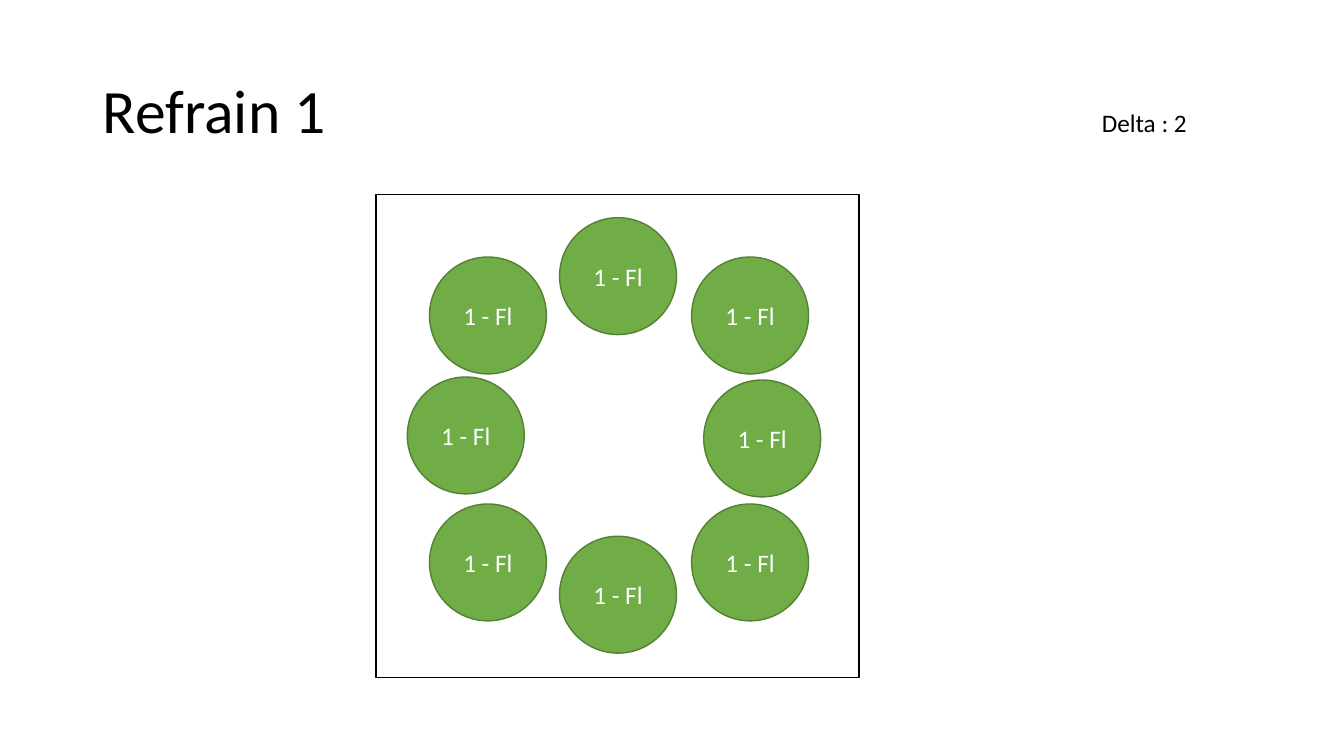
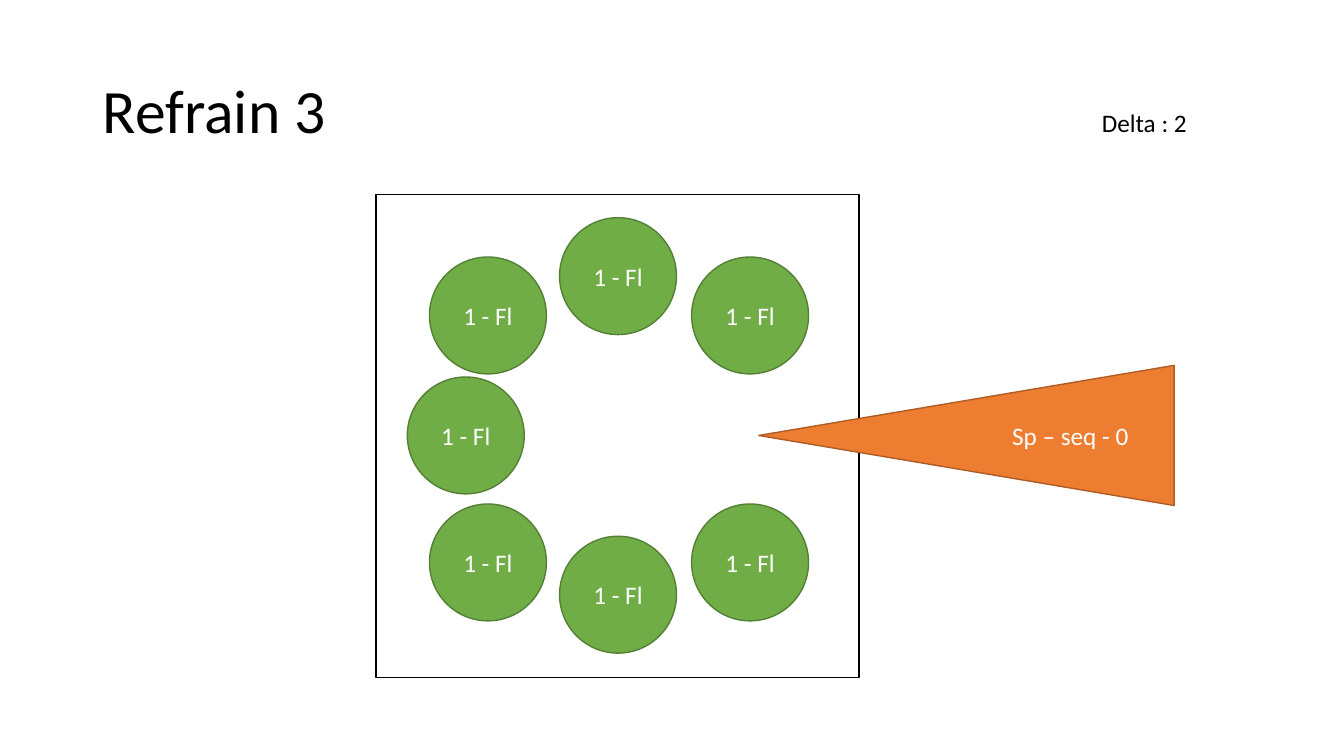
from pptx import Presentation
from pptx.dml.color import RGBColor
from pptx.enum.shapes import MSO_SHAPE
from pptx.enum.text import MSO_ANCHOR, MSO_AUTO_SIZE, PP_ALIGN
from pptx.util import Inches, Pt

RECT, OVAL, TRIANGLE = MSO_SHAPE.RECTANGLE, MSO_SHAPE.OVAL, MSO_SHAPE.ISOSCELES_TRIANGLE
LEFT, CENTER, MIDDLE = PP_ALIGN.LEFT, PP_ALIGN.CENTER, MSO_ANCHOR.MIDDLE
TITLE_ONLY = 5

# Shared style
FONT = "Calibri"
BLACK = RGBColor(0x00, 0x00, 0x00)
WHITE = RGBColor(0xFF, 0xFF, 0xFF)
GREEN = RGBColor(0x70, 0xAD, 0x47)
DARK_GREEN = RGBColor(0x53, 0x80, 0x35)
ORANGE = RGBColor(0xED, 0x7D, 0x31)
DARK_ORANGE = RGBColor(0xAF, 0x5C, 0x24)

# Regions: left, top, width, height in inches
TITLE_BOX = (0.92, 0.4, 11.5, 1.45)
DELTA_BOX = (10.83, 1.02, 2.4, 0.4)
STAGE_BOX = (3.73, 1.93, 4.79, 4.79)

# Spots by compass point, measured from the stage corner
SPOT_SIZE = 1.16
WEST, MID, EAST = 0.53, 1.82, 3.13
UPPER, LOWER = 0.62, 3.07
SPOTS = {
    "NE": (EAST, UPPER), "N": (MID, 0.23), "NW": (WEST, UPPER), "W": (0.31, 1.81),
    "SW": (WEST, LOWER), "S": (MID, 3.39), "SE": (EAST, LOWER), "E": (3.25, 1.84),
}
WEDGE_OFFSET = (5.16, 0.33)
WEDGE_SIZE = (1.39, 4.12)


def inches(box):
    return [Inches(v) for v in box]


def write(tf, text, size, color, align=LEFT):
    p = tf.paragraphs[0]
    p.text = text
    p.alignment = align
    p.font.name, p.font.size, p.font.color.rgb = FONT, Pt(size), color
    return p


def add_figure(s, kind, box, fill, line, text=None):
    sp = s.shapes.add_shape(kind, *inches(box))
    sp.shadow.inherit = False
    if fill is None:
        sp.fill.background()
    else:
        sp.fill.solid()
        sp.fill.fore_color.rgb = fill
    sp.line.color.rgb, sp.line.width = line, Pt(1)
    if text:
        sp.text_frame.vertical_anchor = MIDDLE
        write(sp.text_frame, text, 18, WHITE, CENTER)
    return sp


def add_title(s, box, text):
    sp = s.shapes.title
    sp.left, sp.top, sp.width, sp.height = inches(box)
    tf = sp.text_frame
    tf.auto_size, tf.vertical_anchor = MSO_AUTO_SIZE.NONE, MIDDLE
    write(tf, text, 44, BLACK).line_spacing = 0.9


def add_delta(s, box, text):
    tf = s.shapes.add_textbox(*inches(box)).text_frame
    tf.word_wrap, tf.auto_size = True, MSO_AUTO_SIZE.SHAPE_TO_FIT_TEXT
    write(tf, text, 18, BLACK)


def add_wedge(s, box, text):
    # Points left; the vertical text cancels the rotation
    sp = add_figure(s, TRIANGLE, box, ORANGE, DARK_ORANGE, text)
    sp.rotation = 270
    sp.text_frame._txBody.bodyPr.set("vert", "vert")


def add_stage(s, box, spots, wedge=None):
    left, top = box[:2]
    add_figure(s, RECT, box, None, BLACK)
    if wedge:
        dx, dy = WEDGE_OFFSET
        add_wedge(s, (left + dx, top + dy, *WEDGE_SIZE), wedge)
    for spot in spots:
        dx, dy = SPOTS[spot]
        add_figure(s, OVAL, (left + dx, top + dy, SPOT_SIZE, SPOT_SIZE),
                   GREEN, DARK_GREEN, "1 - Fl")


def add_refrain(prs, title, spots, wedge=None):
    s = prs.slides.add_slide(prs.slide_layouts[TITLE_ONLY])
    add_title(s, TITLE_BOX, title)
    add_stage(s, STAGE_BOX, spots, wedge)
    add_delta(s, DELTA_BOX, "Delta : 2")


def main():
    prs = Presentation()
    prs.slide_width, prs.slide_height = Inches(13.33), Inches(7.5)
    add_refrain(prs, "Refrain 1", SPOTS)
    add_refrain(prs, "Refrain 3", [k for k in SPOTS if k != "E"], "Sp – seq - 0")
    prs.save("out.pptx")


if __name__ == "__main__":
    main()
